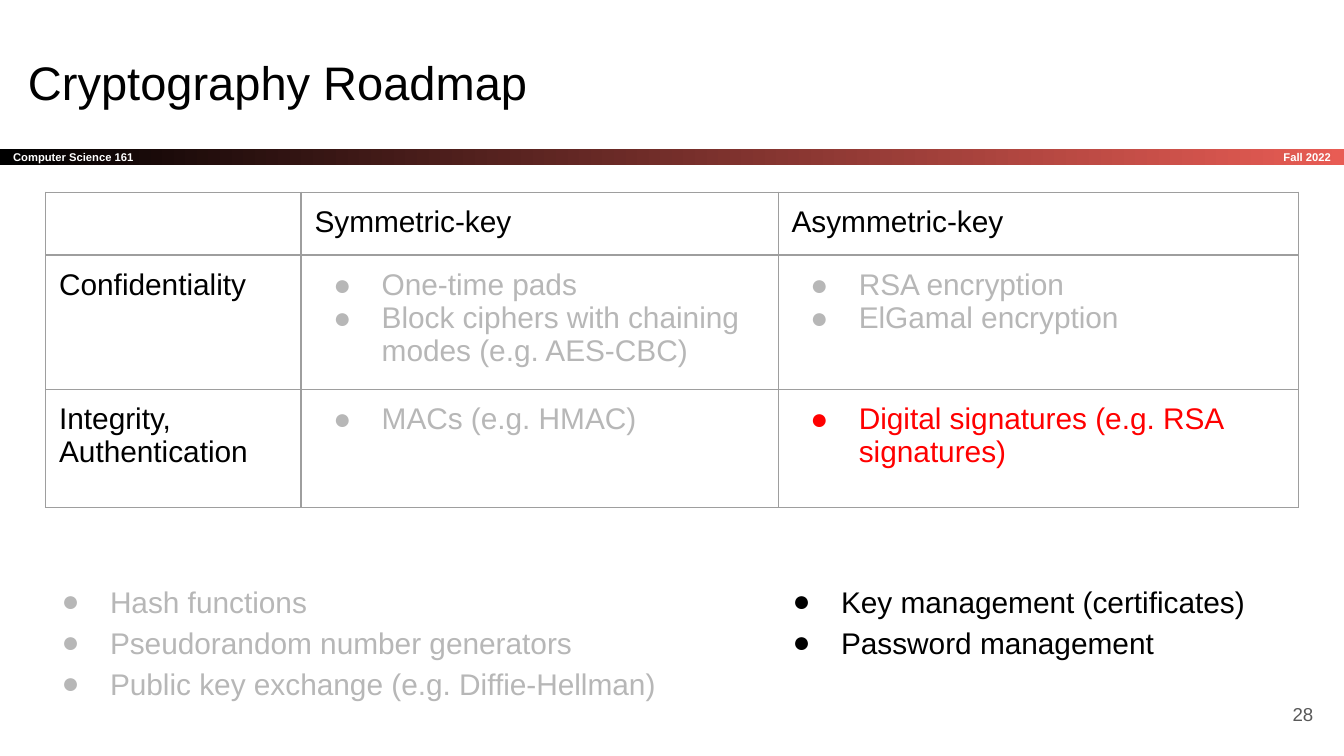
from dataclasses import dataclass

from lxml.etree import SubElement
from pptx import Presentation
from pptx.dml.color import RGBColor
from pptx.enum.shapes import MSO_SHAPE
from pptx.enum.text import MSO_ANCHOR, PP_ALIGN
from pptx.oxml import parse_xml
from pptx.oxml.ns import nsdecls, qn
from pptx.slide import Slide
from pptx.table import _Cell
from pptx.text.text import TextFrame, _Paragraph
from pptx.util import Inches, Pt


@dataclass(frozen=True)
class Theme:
    """Colours, typeface and type sizes of the slide."""
    font: str = "Arial"
    black: str = "000000"
    white: str = "FFFFFF"
    covered: str = "B7B7B7"
    current: str = "FF0000"
    banner_end: str = "E85C54"
    border: str = "9E9E9E"
    page_number: str = "595959"
    title_size: float = 25.2
    body_size: float = 16
    banner_size: float = 6
    page_number_size: float = 10


THEME = Theme()


@dataclass(frozen=True)
class TextBlock:
    """Lines of text that share one look."""
    lines: tuple[str, ...]
    color: str = THEME.black
    size: float = THEME.body_size
    bold: bool = False
    bulleted: bool = False
    line_spacing: float = 1.0
    alignment: PP_ALIGN = PP_ALIGN.LEFT
    anchor: MSO_ANCHOR = MSO_ANCHOR.TOP


@dataclass(frozen=True)
class Box:
    """Position and size in inches."""
    left: float
    top: float
    width: float
    height: float

    def lengths(self) -> tuple[Inches, ...]:
        """Return left, top, width and height as lengths."""
        return tuple(map(Inches, (self.left, self.top, self.width, self.height)))


def add_bullet(paragraph: _Paragraph, color: str) -> None:
    """Give a paragraph a hanging round bullet."""
    properties = paragraph._p.get_or_add_pPr()
    properties.set("marL", str(Inches(0.5)))
    properties.set("indent", str(Inches(-0.36)))
    bullet_color = SubElement(properties, qn("a:buClr"))
    SubElement(bullet_color, qn("a:srgbClr"), val=color)
    SubElement(properties, qn("a:buFont"), typeface=THEME.font)
    SubElement(properties, qn("a:buChar"), char="●")


def write_text(frame: TextFrame, block: TextBlock) -> None:
    """Write each line of a block as one paragraph."""
    for index, line in enumerate(block.lines):
        paragraph = frame.add_paragraph() if index else frame.paragraphs[0]
        paragraph.text = line
        paragraph.alignment = block.alignment
        paragraph.line_spacing = block.line_spacing
        if block.bulleted:
            add_bullet(paragraph, block.color)
        font = paragraph.font
        font.name = THEME.font
        font.size = Pt(block.size)
        font.bold = block.bold
        font.color.rgb = RGBColor.from_string(block.color)


def fill_frame(frame: TextFrame, block: TextBlock) -> None:
    """Set up a shape's text frame and write its text."""
    frame.word_wrap = True
    frame.vertical_anchor = block.anchor
    frame.margin_left = frame.margin_right = Inches(0.1)
    frame.margin_top = frame.margin_bottom = Inches(0.1)
    write_text(frame, block)


def add_text(slide: Slide, box: Box, block: TextBlock) -> None:
    """Add a text box."""
    fill_frame(slide.shapes.add_textbox(*box.lengths()).text_frame, block)


def add_banner(slide: Slide, box: Box, block: TextBlock) -> None:
    """Add the gradient bar with its label."""
    banner = slide.shapes.add_shape(MSO_SHAPE.RECTANGLE, *box.lengths())
    banner.shadow.inherit = False
    banner.line.fill.background()
    banner.fill.gradient()
    banner.fill.gradient_angle = 0
    stops = zip(banner.fill.gradient_stops, (THEME.black, THEME.banner_end))
    for position, (stop, color) in enumerate(stops):
        stop.position = position
        stop.color.rgb = RGBColor.from_string(color)
    fill_frame(banner.text_frame, block)


def style_cell(cell: _Cell) -> None:
    """Clear a cell's fill, set its margins and draw its borders."""
    cell.fill.background()
    cell.margin_left = cell.margin_right = Inches(0.1)
    cell.margin_top = cell.margin_bottom = Inches(0.1)
    properties = cell._tc.get_or_add_tcPr()
    for index, side in enumerate("LRTB"):
        properties.insert(index, parse_xml(
            f'<a:ln{side} {nsdecls("a")} w="{Pt(0.75)}"><a:solidFill>'
            f'<a:srgbClr val="{THEME.border}"/></a:solidFill></a:ln{side}>'))


def add_roadmap(slide: Slide, left: float, top: float, widths: tuple[float, ...],
                heights: tuple[float, ...], rows: tuple[tuple[TextBlock, ...], ...]) -> None:
    """Add the table of goals against kinds of key."""
    box = Box(left, top, sum(widths), sum(heights))
    table = slide.shapes.add_table(len(heights), len(widths), *box.lengths()).table
    table.first_row = table.horz_banding = False
    for column, width in zip(table.columns, widths):
        column.width = Inches(width)
    for row, height, blocks in zip(table.rows, heights, rows):
        row.height = Inches(height)
        for cell, block in zip(row.cells, blocks):
            style_cell(cell)
            write_text(cell.text_frame, block)


def covered(*lines: str, line_spacing: float = 1.0) -> TextBlock:
    """Return a grey list of topics already covered."""
    return TextBlock(lines, THEME.covered, bulleted=True, line_spacing=line_spacing)


def banner_label(text: str, alignment: PP_ALIGN) -> TextBlock:
    """Return a small white label for the banner."""
    return TextBlock((text,), THEME.white, THEME.banner_size, bold=True,
                     alignment=alignment, anchor=MSO_ANCHOR.MIDDLE)


def build() -> None:
    """Build the slide and save it."""
    presentation = Presentation()
    presentation.slide_width = Inches(10)
    presentation.slide_height = Inches(10 * 9 / 16)
    slide = presentation.slides.add_slide(presentation.slide_layouts[6])

    add_banner(slide, Box(0, 1.11, 10, 0.12),
               banner_label("Computer Science 161", PP_ALIGN.LEFT))
    add_text(slide, Box(8.34, 1.11, 1.66, 0.12),
             banner_label("Fall 2022", PP_ALIGN.RIGHT))
    add_text(slide, Box(0.11, 0.3, 9.32, 0.63),
             TextBlock(("Cryptography Roadmap",), size=THEME.title_size))
    add_roadmap(slide, 0.34, 1.43, (1.9, 3.55, 3.87), (0.41, 0.88, 0.88), (
        (TextBlock(("",)), TextBlock(("Symmetric-key",)), TextBlock(("Asymmetric-key",))),
        (TextBlock(("Confidentiality",)),
         covered("One-time pads", "Block ciphers with chaining modes (e.g. AES-CBC)"),
         covered("RSA encryption", "ElGamal encryption")),
        (TextBlock(("Integrity,\vAuthentication",)),
         covered("MACs (e.g. HMAC)"),
         TextBlock(("Digital signatures (e.g. RSA signatures)",), THEME.current,
                   bulleted=True)),
    ))
    add_text(slide, Box(0.22, 4.2, 4.78, 1.28), covered(
        "Hash functions", "Pseudorandom number generators",
        "Public key exchange (e.g. Diffie-Hellman)", line_spacing=1.15))
    add_text(slide, Box(5.66, 4.2, 3.77, 0.78), TextBlock(
        ("Key management (certificates)", "Password management"),
        bulleted=True, line_spacing=1.15))
    add_text(slide, Box(9.27, 5.1, 0.6, 0.43), TextBlock(
        ("28",), THEME.page_number, THEME.page_number_size,
        alignment=PP_ALIGN.RIGHT, anchor=MSO_ANCHOR.MIDDLE))
    presentation.save("out.pptx")


build()
